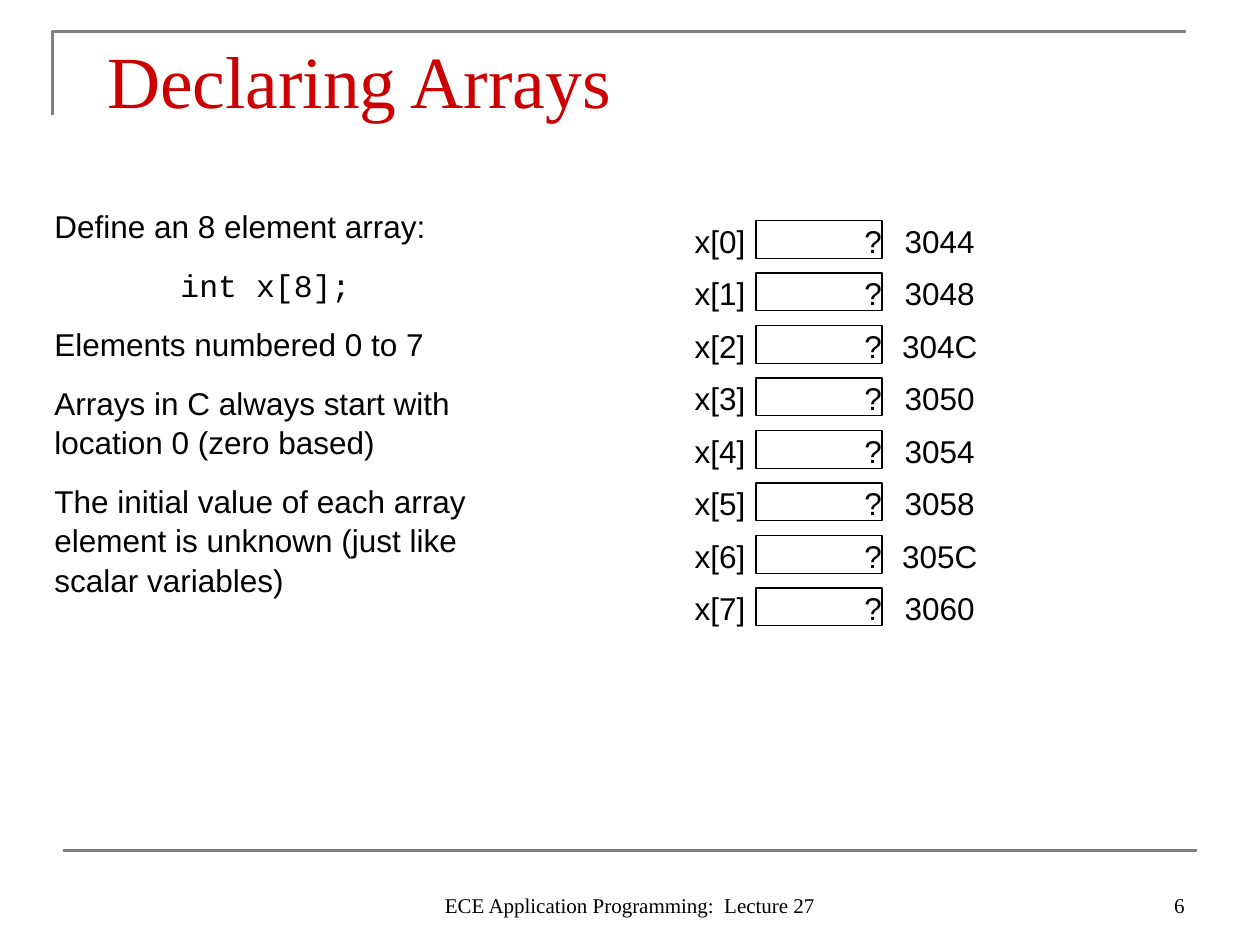
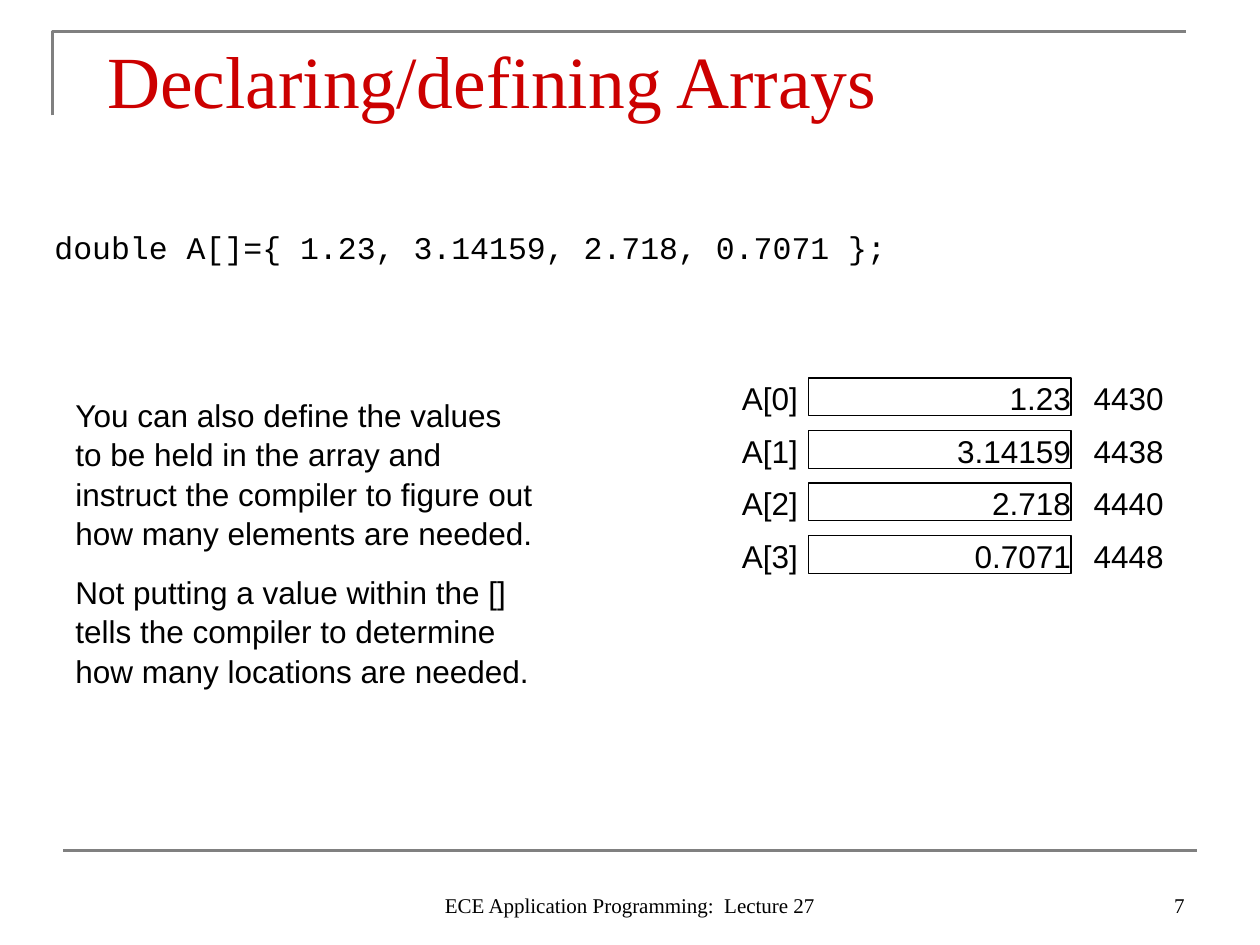
"""Build two lecture slides about declaring and defining arrays in C."""
from lxml import etree
from pptx import Presentation
from pptx.dml.color import RGBColor
from pptx.enum.shapes import MSO_CONNECTOR, MSO_SHAPE
from pptx.enum.text import MSO_ANCHOR, MSO_AUTO_SIZE, PP_ALIGN
from pptx.oxml.ns import qn
from pptx.util import Pt

LEFT, CENTER, RIGHT = PP_ALIGN.LEFT, PP_ALIGN.CENTER, PP_ALIGN.RIGHT
TOP, BOTTOM = MSO_ANCHOR.TOP, MSO_ANCHOR.BOTTOM
NO_FIT, GROW = MSO_AUTO_SIZE.NONE, MSO_AUTO_SIZE.SHAPE_TO_FIT_TEXT
STRAIGHT, RECTANGLE = MSO_CONNECTOR.STRAIGHT, MSO_SHAPE.RECTANGLE

SANS, MONO, SERIF = "Arial", "Courier New", "Times New Roman"
BLACK, RED, GRAY = "000000", "CC0000", "808080"
FOOTER = "ECE Application Programming:  Lecture 27"
ROW_PITCH, ROW_HEIGHT, LABEL_WIDTH, LABEL_GAP = 30, 21.6, 66, 6


def rgb(hex_color):
    return RGBColor.from_string(hex_color)


def write(shape, *lines, font=SANS, size=18, color=BLACK, align=LEFT,
          anchor=TOP, fit=GROW, margins=(7.2, 3.6), spacing=1.04, tab=72):
    frame = shape.text_frame
    frame.word_wrap, frame.auto_size, frame.vertical_anchor = True, fit, anchor
    frame.margin_left = frame.margin_right = Pt(margins[0])
    frame.margin_top = frame.margin_bottom = Pt(margins[1])
    for index, line in enumerate(lines):
        paragraph = frame.add_paragraph() if index else frame.paragraphs[0]
        paragraph.alignment, paragraph.line_spacing = align, spacing
        paragraph.space_before = Pt(11.2 if index else 0)
        if line.startswith("\t"):
            stops = etree.SubElement(paragraph._p.get_or_add_pPr(), qn("a:tabLst"))
            etree.SubElement(stops, qn("a:tab"), pos=str(Pt(tab)), algn="l")
        run = paragraph.add_run()
        run.text = line
        run.font.name = MONO if line.startswith("\t") else font
        run.font.size, run.font.color.rgb = Pt(size), rgb(color)


lessons = [
    {
        "title": "Declaring Arrays",
        "number": 6,
        "notes": [((24, 114, 276, 225.4), SANS, [
            "Define an 8 element array:",
            "\tint x[8];",
            "Elements numbered 0 to 7",
            "Arrays in C always start with location 0 (zero based)",
            "The initial value of each array element is unknown "
            "(just like scalar variables)",
        ])],
        "array": "x",
        "memory": (360, 126, 72),
        "values": ["?"] * 8,
        "addresses": [f"{0x3044 + 4 * i:X}" for i in range(8)],
    },
    {
        "title": "Declaring/defining Arrays",
        "number": 7,
        "notes": [
            ((36, 222, 276, 170), SANS, [
                "You can also define the values to be held in the array and "
                "instruct the compiler to figure out how many elements are needed.",
                "Not putting a value within the [] tells the compiler to "
                "determine how many locations are needed.",
            ]),
            ((24, 126, 654, 28.8), MONO,
             ["double A[]={ 1.23, 3.14159, 2.718, 0.7071 };"]),
        ],
        "array": "A",
        "memory": (390, 216, 150),
        "values": ["1.23", "3.14159", "2.718", "0.7071"],
        "addresses": ["4430", "4438", "4440", "4448"],
    },
]

prs = Presentation()
prs.slide_width, prs.slide_height = Pt(720), Pt(540)
title_only = prs.slide_layouts[5]
slides = [prs.slides.add_slide(title_only) for _ in lessons]

outline = slides[0].shapes.build_freeform(Pt(30), Pt(66))
outline.add_line_segments([(Pt(30), Pt(18)), (Pt(678), Pt(18))], close=False)
corner = outline.convert_to_shape()
corner.fill.background()
corner.shadow.inherit = False
footer_rule = slides[0].shapes.add_connector(
    STRAIGHT, Pt(36), Pt(486), Pt(684), Pt(486))
etree.SubElement(footer_rule.line._get_or_add_ln().getparent(), qn("a:effectLst"))
for shape_id, rule in enumerate((corner, footer_rule), start=20):
    rule.line.color.rgb, rule.line.width = rgb(GRAY), Pt(1.5)
    rule._element.xpath(".//p:cNvPr")[0].set("id", str(shape_id))
    prs.slide_master.shapes._spTree.append(rule._element)

for slide, lesson in zip(slides, lessons):
    shapes = slide.shapes
    title = shapes.title
    title.left, title.top, title.width, title.height = Pt(54), Pt(12), Pt(612), Pt(42)
    write(title, lesson["title"], font=SERIF, size=42, color=RED, fit=NO_FIT,
          margins=(7.2, 6))

    left, top, cell_width = lesson["memory"]
    cell_left = left + LABEL_WIDTH + LABEL_GAP
    for i, (value, address) in enumerate(zip(lesson["values"], lesson["addresses"])):
        y = Pt(top + i * ROW_PITCH)
        element = shapes.add_textbox(Pt(left), y, Pt(LABEL_WIDTH), Pt(ROW_HEIGHT))
        write(element, f"{lesson['array']}[{i}]", align=RIGHT, margins=(0, 0))
        cell = shapes.add_shape(
            RECTANGLE, Pt(cell_left), y, Pt(cell_width), Pt(ROW_HEIGHT))
        cell.fill.background()
        cell.line.color.rgb, cell.line.width = rgb(BLACK), Pt(0.75)
        cell.shadow.inherit = False
        write(cell, value, align=RIGHT, margins=(0, 0))
        location = shapes.add_textbox(
            Pt(cell_left + cell_width), y, Pt(LABEL_WIDTH), Pt(ROW_HEIGHT))
        write(location, address, align=CENTER, margins=(0, 0))

    for bounds, font, lines in lesson["notes"]:
        write(shapes.add_textbox(*map(Pt, bounds)), *lines, font=font)

    for x, width, text, align in (
            (516, 168, str(lesson["number"]), RIGHT), (246, 228, FOOTER, CENTER)):
        footer = shapes.add_textbox(Pt(x), Pt(492), Pt(width), Pt(36))
        write(footer, text, font=SERIF, size=12, align=align, anchor=BOTTOM,
              fit=NO_FIT, spacing=1.0)

prs.save("out.pptx")
